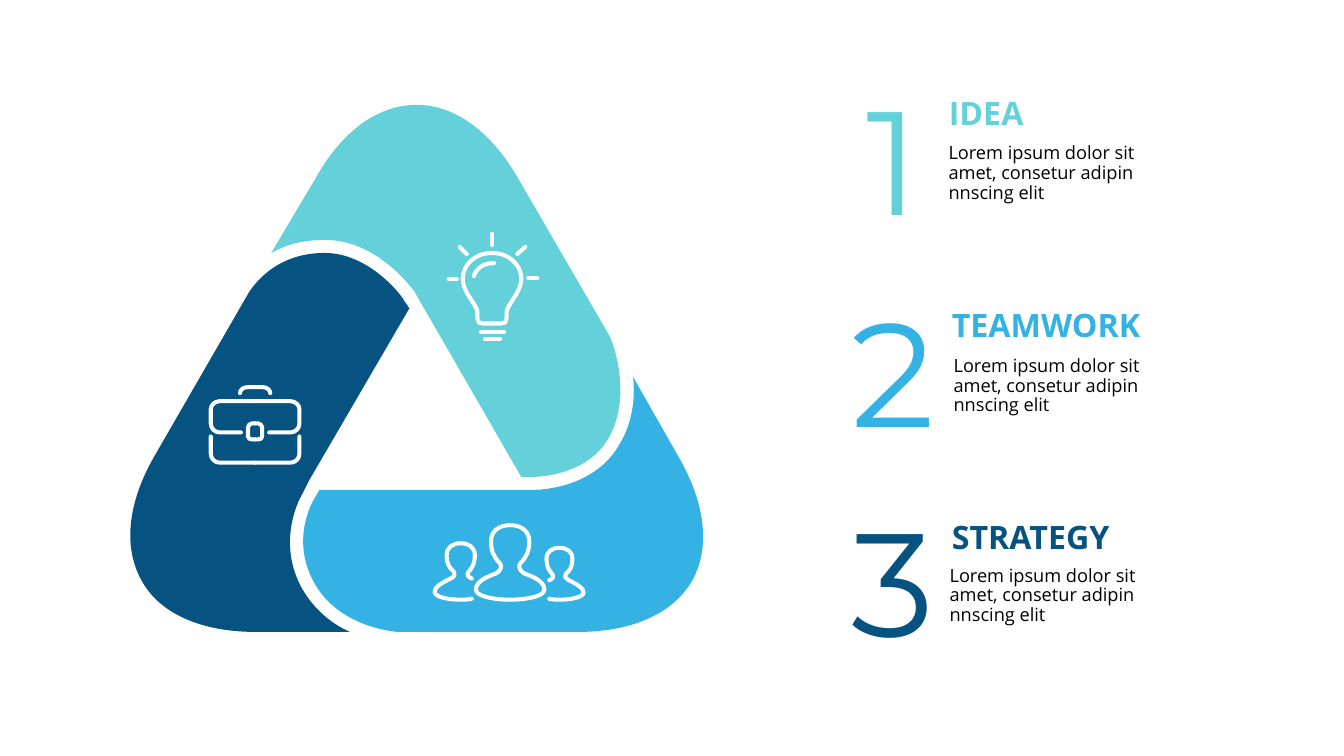
from lxml.etree import Element, SubElement
from pptx import Presentation
from pptx.dml.color import RGBColor
from pptx.oxml.ns import qn
from pptx.util import Inches, Pt

TURQUOISE = RGBColor(0x64, 0xD1, 0xDA)
SKY = RGBColor(0x34, 0xB2, 0xE3)
NAVY = RGBColor(0x06, 0x52, 0x80)
WHITE = RGBColor(0xFF, 0xFF, 0xFF)
BLACK = RGBColor(0, 0, 0)

BODY = "Lorem ipsum dolor sit amet, consetur adipin nnscing elit"
STEPS = [
    ("1", "IDEA", TURQUOISE, (8.59, 0.68), (9.41, 0.93), (9.31, 1.38)),
    ("2", "TEAMWORK", SKY, (8.45, 2.78), (9.44, 3.03), (9.36, 3.49)),
    ("3", "STRATEGY", NAVY, (8.45, 4.87), (9.44, 5.13), (9.32, 5.57)),
]

TEAMWORK_ARM = [
    (6.73, 4.53), (6.28, 3.74), (6.3, 3.94, 6.28, 4.18, 6.15, 4.4),
    (5.9, 4.85, 5.35, 4.86, 5.29, 4.86), (3.17, 4.86), (3.11, 4.96),
    (3.1, 4.98, 2.89, 5.34, 3.1, 5.75), (3.34, 6.23, 3.93, 6.27, 3.96, 6.27),
    (5.72, 6.27), (6.27, 6.27, 6.67, 6.09, 6.86, 5.77),
    (7.05, 5.44, 7, 5, 6.73, 4.53),
]
STRATEGY_ARM = [
    (1.53, 4.53), (1.26, 5, 1.22, 5.44, 1.41, 5.77),
    (1.59, 6.09, 2, 6.27, 2.54, 6.27), (3.47, 6.27),
    (3.29, 6.19, 3.1, 6.04, 2.98, 5.81), (2.74, 5.34, 2.99, 4.91, 3, 4.9),
    (3.07, 4.76), (4.06, 3.06), (4, 2.97),
    (3.98, 2.93, 3.66, 2.51, 3.22, 2.51), (2.77, 2.51, 2.55, 2.78, 2.47, 2.9),
]
IDEA_ARM = [
    (5.14, 1.77), (4.87, 1.3, 4.51, 1.04, 4.13, 1.04),
    (3.75, 1.04, 3.39, 1.3, 3.13, 1.77), (2.69, 2.51),
    (2.83, 2.43, 3, 2.38, 3.22, 2.38), (3.75, 2.38, 4.09, 2.87, 4.11, 2.89),
    (4.19, 3.03), (5.17, 4.73), (5.29, 4.73),
    (5.31, 4.73, 5.82, 4.73, 6.04, 4.34), (6.28, 3.91, 6.07, 3.38, 6.05, 3.34),
]
BULB_HALF = [
    (4.88, 2.51), (5.03, 2.51, 5.13, 2.6, 5.16, 2.7),
    (5.19, 2.78, 5.15, 2.87, 5.12, 2.92), (5.09, 2.97, 5.06, 3.01, 5.03, 3.07),
    (5.02, 3.1, 5.03, 3.14, 5.02, 3.18), (5.02, 3.2, 5, 3.21, 4.97, 3.21),
    (4.88, 3.21),
]
BULB_STROKES = [
    [(4.7, 2.74), (4.72, 2.67, 4.79, 2.61, 4.9, 2.61)],
    [(4.45, 2.77), (4.53, 2.77)], [(5.24, 2.76), (5.33, 2.76)],
    [(5.13, 2.52), (5.21, 2.45)], [(4.63, 2.52), (4.56, 2.45)],
    [(4.88, 2.32), (4.88, 2.43)], [(4.81, 3.36), (4.96, 3.36)],
    [(4.77, 3.29), (5, 3.29)],
]
CASE_HALVES = [
    [(2.38, 3.9), (2.38, 3.87, 2.41, 3.84, 2.46, 3.84), (2.53, 3.84)],
    [(2.39, 4.29), (2.18, 4.29), (2.13, 4.29, 2.09, 4.25, 2.09, 4.2),
     (2.09, 4.06), (2.09, 4.02, 2.13, 3.98, 2.18, 3.98), (2.53, 3.98)],
    [(2.09, 4.33), (2.09, 4.5), (2.09, 4.55, 2.13, 4.59, 2.18, 4.59),
     (2.53, 4.59)],
    [(2.53, 4.2), (2.5, 4.2), (2.48, 4.2, 2.46, 4.22, 2.46, 4.24),
     (2.46, 4.33), (2.46, 4.35, 2.48, 4.36, 2.5, 4.36), (2.53, 4.36)],
]
LEADER_HALF = [
    (5.06, 5.21), (5.17, 5.21, 5.25, 5.27, 5.25, 5.37),
    (5.25, 5.47, 5.22, 5.53, 5.16, 5.59), (5.14, 5.62, 5.15, 5.66, 5.2, 5.69),
    (5.29, 5.72, 5.4, 5.77, 5.4, 5.85), (5.4, 5.92, 5.21, 5.95, 5.06, 5.95),
]
MEMBER = [
    (4.68, 5.94), (4.64, 5.95, 4.6, 5.95, 4.57, 5.95),
    (4.47, 5.95, 4.31, 5.93, 4.31, 5.87), (4.31, 5.82, 4.39, 5.78, 4.47, 5.74),
    (4.5, 5.73, 4.52, 5.7, 4.5, 5.67), (4.45, 5.63, 4.43, 5.58, 4.43, 5.51),
    (4.43, 5.43, 4.49, 5.39, 4.57, 5.39), (4.65, 5.39, 4.71, 5.43, 4.71, 5.51),
    (4.71, 5.58, 4.69, 5.63, 4.65, 5.67), (4.62, 5.7, 4.65, 5.73, 4.68, 5.74),
]


def reflect(contour, axis, scale=1, base=0):
    """Mirror a contour across a vertical axis, scaled about a base line."""
    return [tuple(axis + scale * (axis - v) if i % 2 == 0 else base + scale * (v - base)
                  for i, v in enumerate(part)) for part in contour]


def symmetric(halves, axis):
    """Return half contours together with their reflections."""
    return halves + [reflect(half, axis) for half in halves]


def add_freeform(slide, contours, close=False):
    """Build a freeform whose parts are line ends or Bezier triples."""
    builder = slide.shapes.build_freeform(*[Inches(v) for v in contours[0][0]], scale=1.0)
    for i, contour in enumerate(contours):
        if i:
            builder.move_to(*[Inches(v) for v in contour[0]])
        ends = [(Inches(part[-2]), Inches(part[-1])) for part in contour[1:]]
        builder.add_line_segments(ends, close=close)
    sp = builder.convert_to_shape()
    sp.shadow.inherit = False
    parts = [part for contour in contours for part in contour[1:]]
    for step, part in zip(list(sp._element.iter(qn("a:lnTo"))), parts):
        if len(part) == 6:
            step.tag = qn("a:cubicBezTo")
            for i in (0, 2):
                pt = Element(qn("a:pt"))
                pt.set("x", str(Inches(part[i]) - sp.left))
                pt.set("y", str(Inches(part[i + 1]) - sp.top))
                step.insert(i // 2, pt)
    return sp


def add_arm(slide, contour, color):
    """Add one filled arm of the triangle."""
    sp = add_freeform(slide, [contour], close=True)
    sp.fill.solid()
    sp.fill.fore_color.rgb = color
    sp.line.fill.background()


def add_icon(slide, contours):
    """Add an icon drawn in white round-capped strokes."""
    sp = add_freeform(slide, contours)
    sp.fill.background()
    sp.line.color.rgb = WHITE
    sp.line.width = Pt(2.9)
    ln = sp._element.spPr.find(qn("a:ln"))
    ln.set("cap", "rnd")
    SubElement(ln, qn("a:round"))


def add_text(slide, text, at, size, font, color, bold=False, inset=(0, 0), spacing=1.0):
    """Add a wrapped single-paragraph text box."""
    tf = slide.shapes.add_textbox(*[Inches(v) for v in at]).text_frame
    tf.word_wrap = True
    tf.margin_left = tf.margin_right = Inches(inset[0])
    tf.margin_top = tf.margin_bottom = Inches(inset[1])
    tf.text = text
    p = tf.paragraphs[0]
    p.line_spacing = spacing
    f = p.runs[0].font
    f.size, f.name, f.bold = Pt(size), font, bold
    f.color.rgb = color


def main():
    """Build and save the slide."""
    prs = Presentation()
    prs.slide_width, prs.slide_height = Inches(13.33), Inches(7.5)
    slide = prs.slides.add_slide(prs.slide_layouts[6])
    right_member = reflect(MEMBER, 5.08, scale=0.92, base=5.95)
    add_arm(slide, TEAMWORK_ARM, SKY)
    add_icon(slide, symmetric([LEADER_HALF], 5.06) + [MEMBER, right_member])
    add_arm(slide, STRATEGY_ARM, NAVY)
    add_icon(slide, symmetric(CASE_HALVES, 2.53))
    add_arm(slide, IDEA_ARM, TURQUOISE)
    add_icon(slide, symmetric([BULB_HALF], 4.88) + BULB_STROKES)
    for number, heading, color, number_at, heading_at, body_at in STEPS:
        add_text(slide, number, (*number_at, 0.92, 1.77), 105, "Montserrat", color)
        add_text(slide, heading, (*heading_at, 2.01, 0.52), 23, "Open Sans", color, bold=True)
        add_text(slide, BODY, (*body_at, 2.04, 0.76), 13, "Open Sans", BLACK,
                 inset=(0.1, 0.05), spacing=0.9)
    prs.save("out.pptx")


if __name__ == "__main__":
    main()
